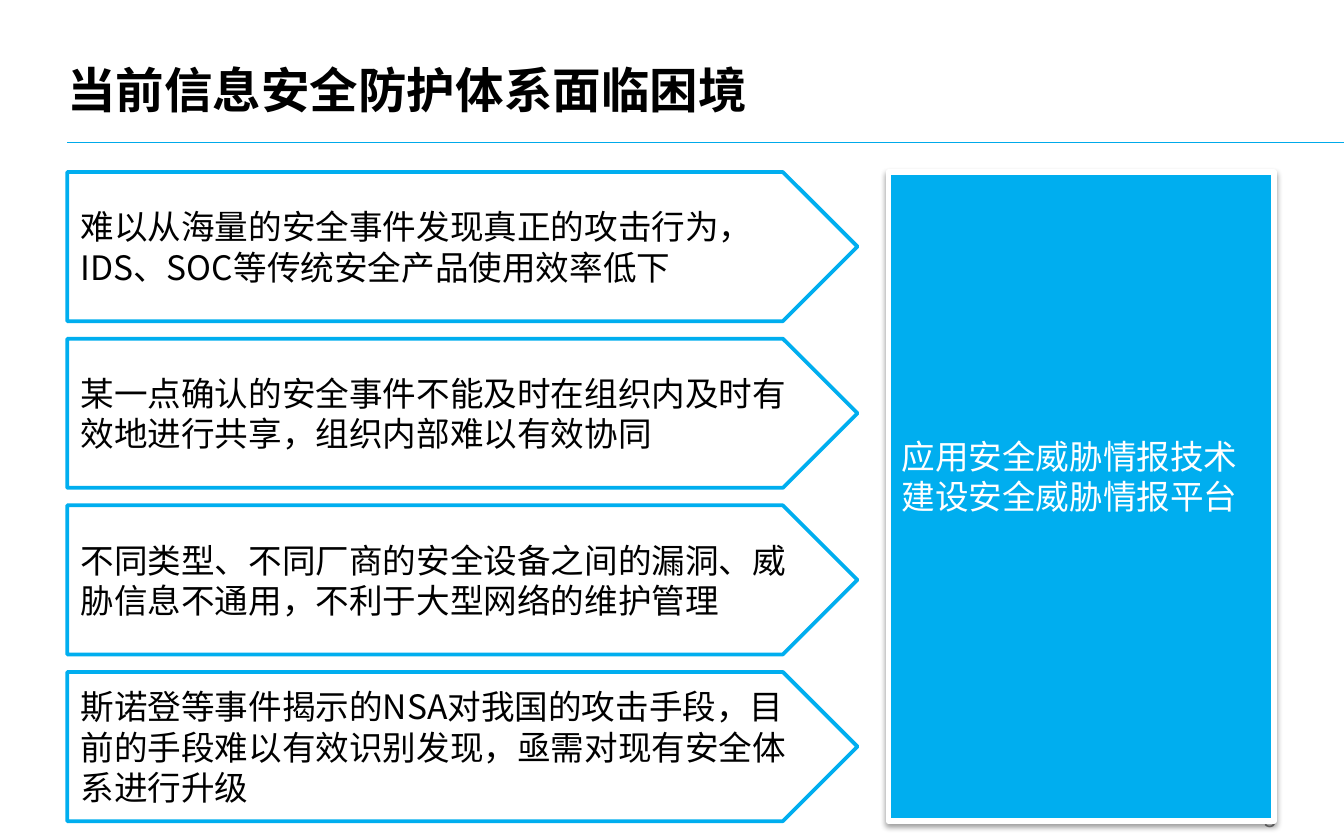
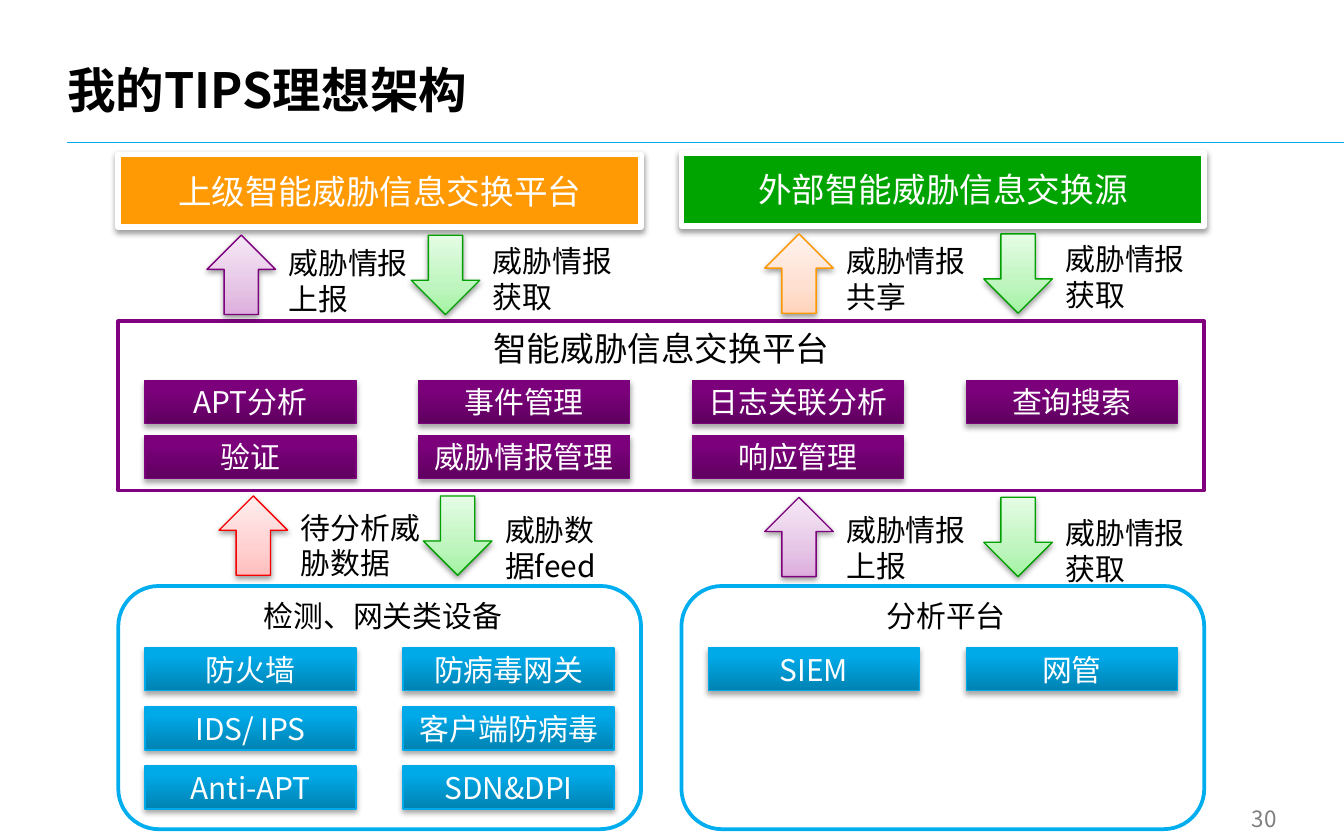
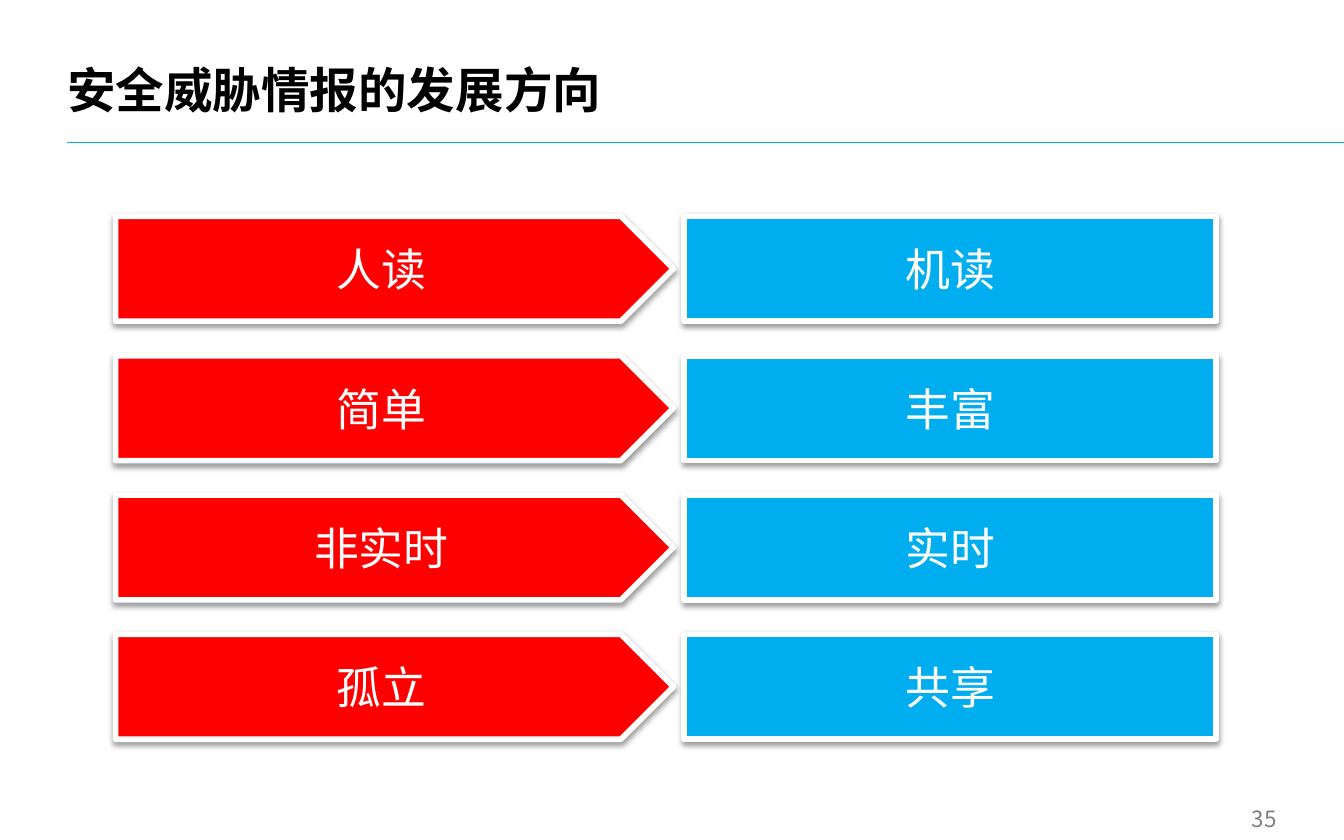
import copy

import lxml.etree
import pptx
import pptx.dml.color
import pptx.enum.shapes
import pptx.enum.text
import pptx.oxml.ns
import pptx.util

Inches = pptx.util.Inches
Pt = pptx.util.Pt
SHAPE = pptx.enum.shapes.MSO_SHAPE
ANCHOR = pptx.enum.text.MSO_ANCHOR
ALIGN = pptx.enum.text.PP_ALIGN
qn = pptx.oxml.ns.qn

# Shared look
FONT = "Noto Sans CJK SC"
BLACK, WHITE, GREY = "000000", "FFFFFF", "7F7F7F"
CYAN, RULE_BLUE, RED = "00AEEF", "00AAEA", "FF0000"
ORANGE, GREEN, PURPLE = "FF9A05", "00A400", "800080"
NO_INSETS = dict.fromkeys(
    ("margin_left", "margin_top", "margin_right", "margin_bottom"), 0)
CARD_SHADOW = (38, 3.1, 1.6)  # opacity %, blur pt, distance pt
CHIP_SHADOW = (35, 3.1, 1.8)

# Gradient stops run from bottom to top: (position %, colour); then the outline
CHIP_BLUE = ([(0, "0082B2"), (80, "00A9E8"), (100, "00A9E9")], RULE_BLUE)
CHIP_PURPLE = ([(0, "600060"), (80, "7C007C"), (100, "7D007D")], "7D007D")
ARROW_RED = ([(0, "FFBDBD"), (35, "FFD1D1"), (100, "FFEEEE")], "F90000")
ARROW_GREEN = ([(0, "A2F3A2"), (35, "BEF5BE"), (100, "E5FCE5")], "00A000")
ARROW_PURPLE = ([(0, "DDADDD"), (35, "E6C6E6"), (100, "F6E9F6")], "7D007D")
ARROW_ORANGE = ([(0, "FFD4BD"), (35, "FFE0D1"), (100, "FFF3EE")], "FE9800")

# Slide 1
DIFFICULTIES = [
    "难以从海量的安全事件发现真正的攻击行为，IDS、SOC等传统安全产品使用效率低下",
    "某一点确认的安全事件不能及时在组织内及时有效地进行共享，组织内部难以有效协同",
    "不同类型、不同厂商的安全设备之间的漏洞、威胁信息不通用，不利于大型网络的维护管理",
    "斯诺登等事件揭示的NSA对我国的攻击手段，目前的手段难以有效识别发现，亟需对现有安全体系进行升级",
]
ANSWER = "应用安全威胁情报技术\n建设安全威胁情报平台"

# Slide 2
SOURCES = [  # left, top, colour, name
    (0.88, 1.15, ORANGE, "上级智能威胁信息交换平台"),
    (5.07, 1.14, GREEN, "外部智能威胁信息交换源"),
]
PLATFORM = "智能威胁信息交换平台"
PLATFORM_MODULES = [
    ["APT分析", "事件管理", "日志关联分析", "查询搜索"],
    ["验证", "威胁情报管理", "响应管理"],
]
GROUPS = [  # left, name, rows of members
    (0.88, "检测、网关类设备", [["防火墙", "防病毒网关"],
                        ["IDS/ IPS", "客户端防病毒"],
                        ["Anti-APT", "SDN&DPI"]]),
    (5.07, "分析平台", [["SIEM", "网管"]]),
]
UP, DOWN = SHAPE.UP_ARROW, SHAPE.DOWN_ARROW
FLOWS = [  # arrow, left, top, colours, label, label top, label width
    (UP, 1.54, 1.75, ARROW_PURPLE, "威胁情报\n上报", 1.77, 1.17),
    (DOWN, 3.06, 1.75, ARROW_GREEN, "威胁情报\n获取", 1.76, 1.2),
    (UP, 5.69, 1.74, ARROW_ORANGE, "威胁情报\n共享", 1.76, 1.17),
    (DOWN, 7.32, 1.74, ARROW_GREEN, "威胁情报\n获取", 1.74, 1.12),
    (UP, 1.63, 3.69, ARROW_RED, "待分析威胁数据", 3.74, 1.17),
    (DOWN, 3.15, 3.69, ARROW_GREEN, "威胁数据feed", 3.76, 1.01),
    (UP, 5.69, 3.7, ARROW_PURPLE, "威胁情报\n上报", 3.76, 1.17),
    (DOWN, 7.32, 3.7, ARROW_GREEN, "威胁情报\n获取", 3.78, 1.32),
]

# Slide 3
SHIFTS = [("人读", "机读"), ("简单", "丰富"), ("非实时", "实时"), ("孤立", "共享")]


def rgb(colour):
    return pptx.dml.color.RGBColor.from_string(colour)


def apply(target, values):
    for name, value in values.items():
        setattr(target, name, value)


def write(shape, text, size, colour, align=ALIGN.LEFT, anchor=ANCHOR.MIDDLE,
          bold=False, spacing=None, **frame_format):
    """Put one paragraph per line of text into the shape."""
    frame = shape.text_frame
    apply(frame, {"word_wrap": True, "vertical_anchor": anchor, **frame_format})
    frame.text = text
    for paragraph in frame.paragraphs:
        apply(paragraph, {"alignment": align, "line_spacing": spacing})
        for run in paragraph.runs:
            apply(run.font, {"size": Pt(size), "name": FONT, "bold": bold})
            run.font.color.rgb = rgb(colour)
            east_asian = lxml.etree.SubElement(run.font._element, qn("a:ea"))
            east_asian.set("typeface", FONT)


def add_text(slide, box, text, size, colour, **text_format):
    shape = slide.shapes.add_textbox(*map(Inches, box))
    write(shape, text, size, colour, **text_format)


def cast_shadow(shape, opacity, blur, distance):
    effects = shape.element.spPr.find(qn("a:effectLst"))
    shadow = lxml.etree.SubElement(
        effects, qn("a:outerShdw"), blurRad=str(Pt(blur)),
        dist=str(Pt(distance)), dir="5400000", rotWithShape="0")
    black = lxml.etree.SubElement(shadow, qn("a:srgbClr"), val=BLACK)
    lxml.etree.SubElement(black, qn("a:alpha"), val=str(opacity * 1000))


def fill_gradient(shape, stops):
    shape.fill.gradient()
    shape.fill.gradient_angle = 90
    stop_list = shape.element.spPr.find(".//" + qn("a:gsLst"))
    while len(stop_list) < len(stops):
        stop_list.append(copy.deepcopy(stop_list[0]))
    for stop, (position, colour) in zip(shape.fill.gradient_stops, stops):
        stop.position = position / 100
        stop.color.rgb = rgb(colour)


def add_block(slide, kind, box, fill, outline, width, shadow=None):
    """Add a shape; fill is a colour, a list of gradient stops or None."""
    shape = slide.shapes.add_shape(kind, *map(Inches, box))
    shape.shadow.inherit = False
    if fill is None:
        shape.fill.background()
    elif isinstance(fill, list):
        fill_gradient(shape, fill)
    else:
        shape.fill.solid()
        shape.fill.fore_color.rgb = rgb(fill)
    shape.line.color.rgb = rgb(outline)
    shape.line.width = Pt(width)
    if shadow:
        cast_shadow(shape, *shadow)
    return shape


def add_card(slide, kind, box, fill, text, size, align=ALIGN.CENTER, **frame_format):
    card = add_block(slide, kind, box, fill, WHITE, 3, CARD_SHADOW)
    write(card, text, size, WHITE, align=align, **frame_format)


def add_chips(slide, rows, left, top, step_x, step_y, colours):
    stops, outline = colours
    for r, row in enumerate(rows):
        for c, name in enumerate(row):
            box = (left + c * step_x, top + r * step_y, 1.57, 0.32)
            chip = add_block(slide, SHAPE.RECTANGLE, box, stops, outline,
                             0.75, CHIP_SHADOW)
            write(chip, name, 16, WHITE, align=ALIGN.CENTER)


def start_slide(prs, title, number):
    slide = prs.slides.add_slide(prs.slide_layouts[6])
    rule = slide.shapes.add_connector(
        pptx.enum.shapes.MSO_CONNECTOR.STRAIGHT,
        *map(Inches, (0.5, 1.06, 10, 1.06)))
    rule.line.color.rgb = rgb(RULE_BLUE)
    rule.line.width = Pt(0.75)
    lxml.etree.SubElement(rule.element.spPr, qn("a:effectLst"))
    add_text(slide, (8.91, 5.98, 0.59, 0.22), number, 12, GREY,
             align=ALIGN.RIGHT, **NO_INSETS)
    add_text(slide, (0.5, 0.16, 8.97, 0.72), title, 26, BLACK, bold=True,
             anchor=ANCHOR.BOTTOM, spacing=Pt(26), **NO_INSETS)
    return slide


def build_difficulties(prs):
    slide = start_slide(prs, "当前信息安全防护体系面临困境", "3")
    for i, difficulty in enumerate(DIFFICULTIES):
        pointer = add_block(slide, SHAPE.PENTAGON,
                            (0.5, 1.28 + i * 1.24, 5.88, 1.11), WHITE, CYAN, 2)
        write(pointer, difficulty, 18, BLACK)
    add_card(slide, SHAPE.RECTANGLE, (6.61, 1.28, 2.87, 4.83), CYAN, ANSWER, 18,
             align=ALIGN.LEFT, margin_bottom=Inches(0.35))


def build_architecture(prs):
    slide = start_slide(prs, "我的TIPS理想架构", "30")
    platform = add_block(slide, SHAPE.RECTANGLE, (0.88, 2.39, 8.08, 1.26),
                         WHITE, PURPLE, 2)
    write(platform, PLATFORM, 18, BLACK, align=ALIGN.CENTER, anchor=ANCHOR.TOP)
    add_chips(slide, PLATFORM_MODULES, 1.08, 2.83, 6.11 / 3, 0.41, CHIP_PURPLE)

    for left, name, members in GROUPS:
        add_block(slide, SHAPE.ROUNDED_RECTANGLE, (left, 4.36, 3.89, 1.81),
                  None, CYAN, 2)
        add_text(slide, (left + 0.92, 4.4, 2.1, 0.37), name, 16, BLACK,
                 align=ALIGN.CENTER, anchor=ANCHOR.TOP)
        add_chips(slide, members, left + 0.2, 4.82, 1.92, 0.44, CHIP_BLUE)

    for left, top, colour, name in SOURCES:
        add_card(slide, SHAPE.RECTANGLE, (left, top, 3.89, 0.54), colour, name, 18)

    for arrow, left, top, (stops, outline), label, label_top, label_width in FLOWS:
        add_block(slide, arrow, (left, top, 0.51, 0.59), stops, outline,
                  0.75, CARD_SHADOW)
        add_text(slide, (left + 0.51, label_top, label_width, 0.64), label, 16,
                 BLACK, anchor=ANCHOR.TOP)


def build_directions(prs):
    slide = start_slide(prs, "安全威胁情报的发展方向", "35")
    for i, (today, future) in enumerate(SHIFTS):
        top = 1.61 + i * 3.11 / 3
        add_card(slide, SHAPE.PENTAGON, (0.86, top, 4.15, 0.78), RED, today, 24)
        add_card(slide, SHAPE.RECTANGLE, (5.09, top, 3.96, 0.78), CYAN, future, 24)


def main():
    prs = pptx.Presentation()
    prs.slide_width, prs.slide_height = Inches(10), Inches(6.25)
    build_difficulties(prs)
    build_architecture(prs)
    build_directions(prs)
    prs.save("out.pptx")


if __name__ == "__main__":
    main()
